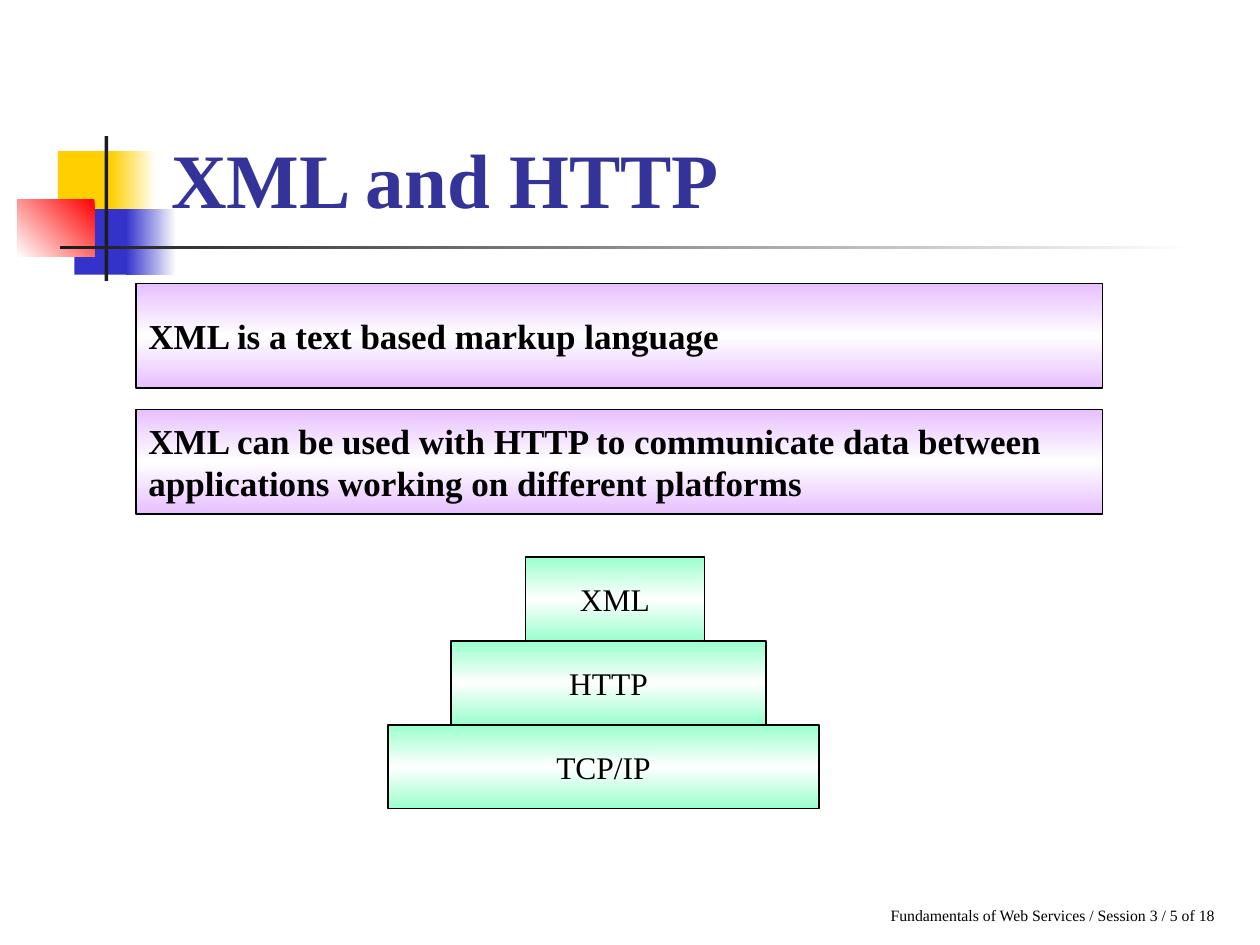
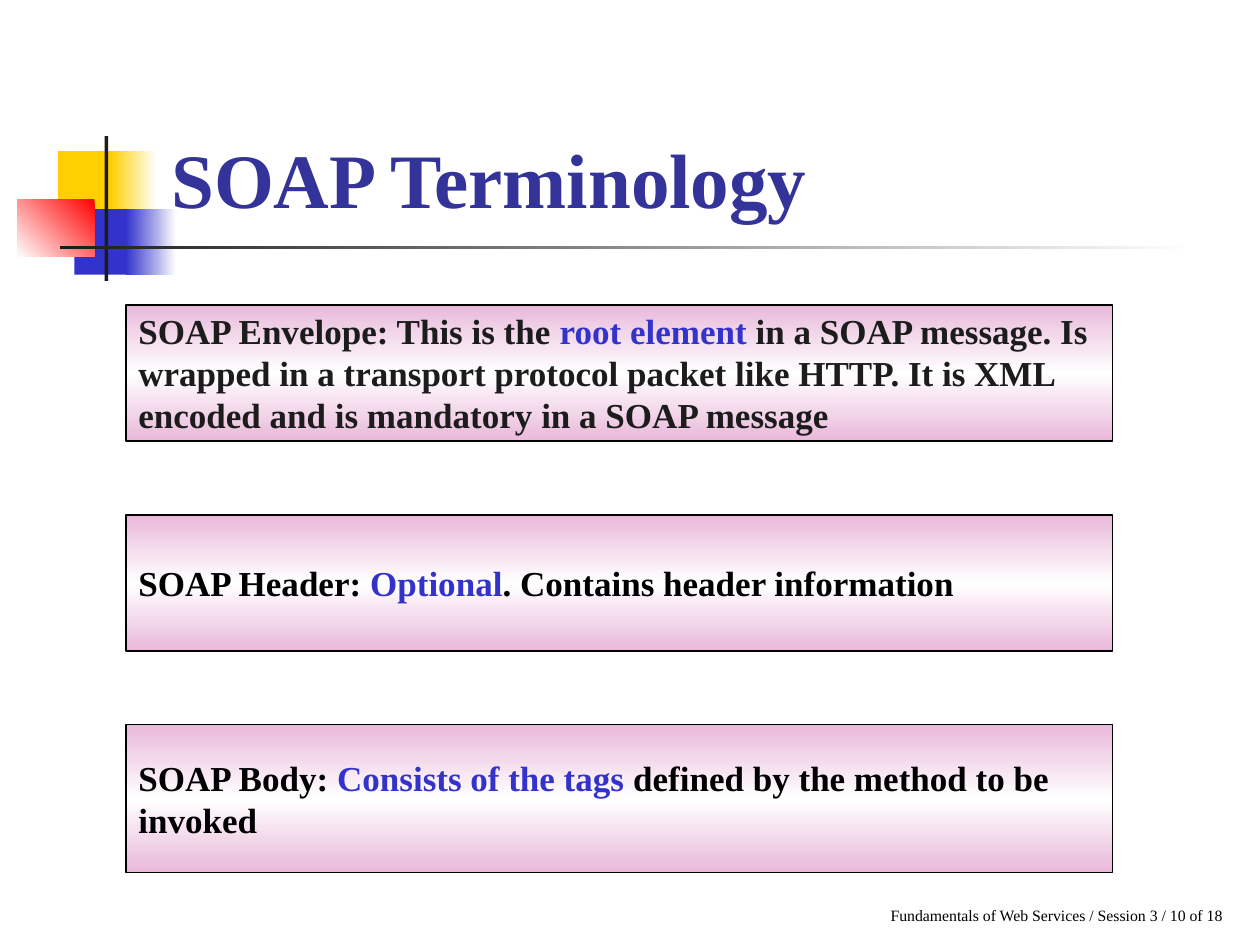
from copy import deepcopy

from pptx import Presentation
from pptx.dml.color import RGBColor
from pptx.enum.shapes import MSO_SHAPE
from pptx.enum.text import MSO_ANCHOR, MSO_AUTO_SIZE, PP_ALIGN
from pptx.oxml.ns import qn
from pptx.util import Inches, Pt

FONT = "Times New Roman"
WHITE = RGBColor(0xFF, 0xFF, 0xFF)
BLACK = RGBColor(0x00, 0x00, 0x00)
CHARCOAL = RGBColor(0x1C, 0x1C, 0x1C)
NAVY = RGBColor(0x33, 0x33, 0x99)
BLUE = RGBColor(0x33, 0x33, 0xCC)
YELLOW = RGBColor(0xFF, 0xCF, 0x01)
RED = RGBColor(0xFF, 0x00, 0x00)
LILAC = RGBColor(0xE7, 0xBF, 0xFF)
MINT = RGBColor(0x99, 0xFF, 0xCC)
PINK = RGBColor(0xE9, 0xB9, 0xDA)

TITLE = {"size": Pt(44), "bold": True}
BODY = {"size": Pt(20), "bold": True}
LAYER = {"size": Pt(18), "bold": False}
FOOTER = {"size": Pt(9), "bold": False}

MOTIF = [
    ((0.46, 1.2, 0.48, 0.52), [YELLOW], 0),
    ((0.88, 1.2, 0.36, 0.52), [WHITE, YELLOW], 180),
    ((0.59, 1.66, 0.46, 0.52), [BLUE], 0),
    ((1, 1.66, 0.4, 0.52), [WHITE, BLUE], 180),
    ((0.14, 1.58, 0.61, 0.46), [RED, WHITE], 135),
    ((0.83, 1.08, 0.03, 1.15), [CHARCOAL], 0),
    ((0.48, 1.95, 9, 0.03), [WHITE, CHARCOAL], 180),
]


class Deck:
    """Holds the shared style and the current slide."""

    def __init__(self):
        self.deck = Presentation()
        self.deck.slide_width = Inches(10)
        self.deck.slide_height = Inches(7.5)
        self.page = None

    def start(self, title, number):
        self.page = self.deck.slides.add_slide(self.deck.slide_layouts[5])
        for place, colours, angle in MOTIF:
            self.block(place, colours, angle)
        footer = self.page.shapes.add_textbox(*map(Inches, (6.97, 7.14, 3.24, 0.25)))
        label = f"Fundamentals of Web Services / Session 3 / {number} of 18"
        self.fill_text(footer, [[(label, BLACK)]], FOOTER, anchor=MSO_ANCHOR.TOP)
        heading = self.page.shapes.title
        heading.left, heading.top, heading.width, heading.height = map(
            Inches, (1.26, 0.23, 8.52, 1.6))
        heading.element.getparent().append(heading.element)
        self.fill_text(heading, [[(title, NAVY)]], TITLE, anchor=MSO_ANCHOR.BOTTOM)

    def block(self, place, colours, angle=90):
        box = self.page.shapes.add_shape(MSO_SHAPE.RECTANGLE, *map(Inches, place))
        box.shadow.inherit = False
        box.line.fill.background()
        if len(colours) == 1:
            box.fill.solid()
            box.fill.fore_color.rgb = colours[0]
            return box
        box.fill.gradient()
        stops = box.element.spPr.find(".//" + qn("a:gsLst"))
        for _ in colours[2:]:
            stops.append(deepcopy(stops[0]))
        for index, (stop, colour) in enumerate(zip(box.fill.gradient_stops, colours)):
            stop.color.rgb = colour
            stop.position = index / (len(colours) - 1)
        box.fill.gradient_angle = 360 - angle
        return box

    def panel(self, place, colour, paras, style, align=PP_ALIGN.LEFT):
        box = self.block(place, [colour, WHITE, colour])
        box.line.color.rgb = BLACK
        box.line.width = Pt(0.75)
        self.fill_text(box, paras, style, align)

    def fill_text(self, box, paras, style, align=PP_ALIGN.LEFT,
                  anchor=MSO_ANCHOR.MIDDLE):
        frame = box.text_frame
        settings = {"word_wrap": True, "auto_size": MSO_AUTO_SIZE.NONE,
                    "vertical_anchor": anchor}
        for name, value in settings.items():
            setattr(frame, name, value)
        for index, spans in enumerate(paras):
            para = frame.add_paragraph() if index else frame.paragraphs[0]
            para.alignment = align
            for text, colour in spans:
                for line, part in enumerate(text.split("\n")):
                    if line:
                        para.add_line_break()
                    span = para.add_run()
                    span.text = part
                    span.font.color.rgb = colour
                    for name, value in {"name": FONT, **style}.items():
                        setattr(span.font, name, value)


def add_xml_and_http(deck):
    deck.start("XML and HTTP", 5)
    statements = [
        ["XML is a text based markup language"],
        ["XML can be used with HTTP to communicate data between ",
         "applications working on different platforms"],
    ]
    for index, lines in enumerate(statements):
        paras = [[(line, BLACK)] for line in lines]
        deck.panel((1.08, 2.25 + index, 7.67, 0.83), LILAC, paras, BODY,
                   PP_ALIGN.JUSTIFY)
    layers = [("XML", 4.17, 1.42), ("HTTP", 3.58, 2.5), ("TCP/IP", 3.08, 3.42)]
    height = 2 / 3
    for index, (name, left, width) in enumerate(layers):
        deck.panel((left, 4.42 + index * height, width, height), MINT,
                   [[(name, BLACK)]], LAYER, PP_ALIGN.CENTER)


def add_soap_terminology(deck):
    deck.start("SOAP Terminology", 10)
    terms = [
        (1.08, [
            [("SOAP Envelope: This is the ", CHARCOAL), ("root element", BLUE),
             (" in a SOAP message. Is", CHARCOAL)],
            [("wrapped in a transport protocol packet like HTTP. It is XML", CHARCOAL)],
            [("encoded and is mandatory in a SOAP message", CHARCOAL)],
        ]),
        (1.08, [[("SOAP Header: ", BLACK), ("Optional", BLUE),
                 (". Contains header information", BLACK)]]),
        (1.17, [[("SOAP Body: ", BLACK), ("Consists of the tags", BLUE),
                 (" defined by the method to be\ninvoked", BLACK)]]),
    ]
    for index, (height, paras) in enumerate(terms):
        deck.panel((1, 2.42 + index * 5 / 3, 7.83, height), PINK, paras, BODY)


def main():
    deck = Deck()
    add_xml_and_http(deck)
    add_soap_terminology(deck)
    deck.deck.save("out.pptx")


if __name__ == "__main__":
    main()
